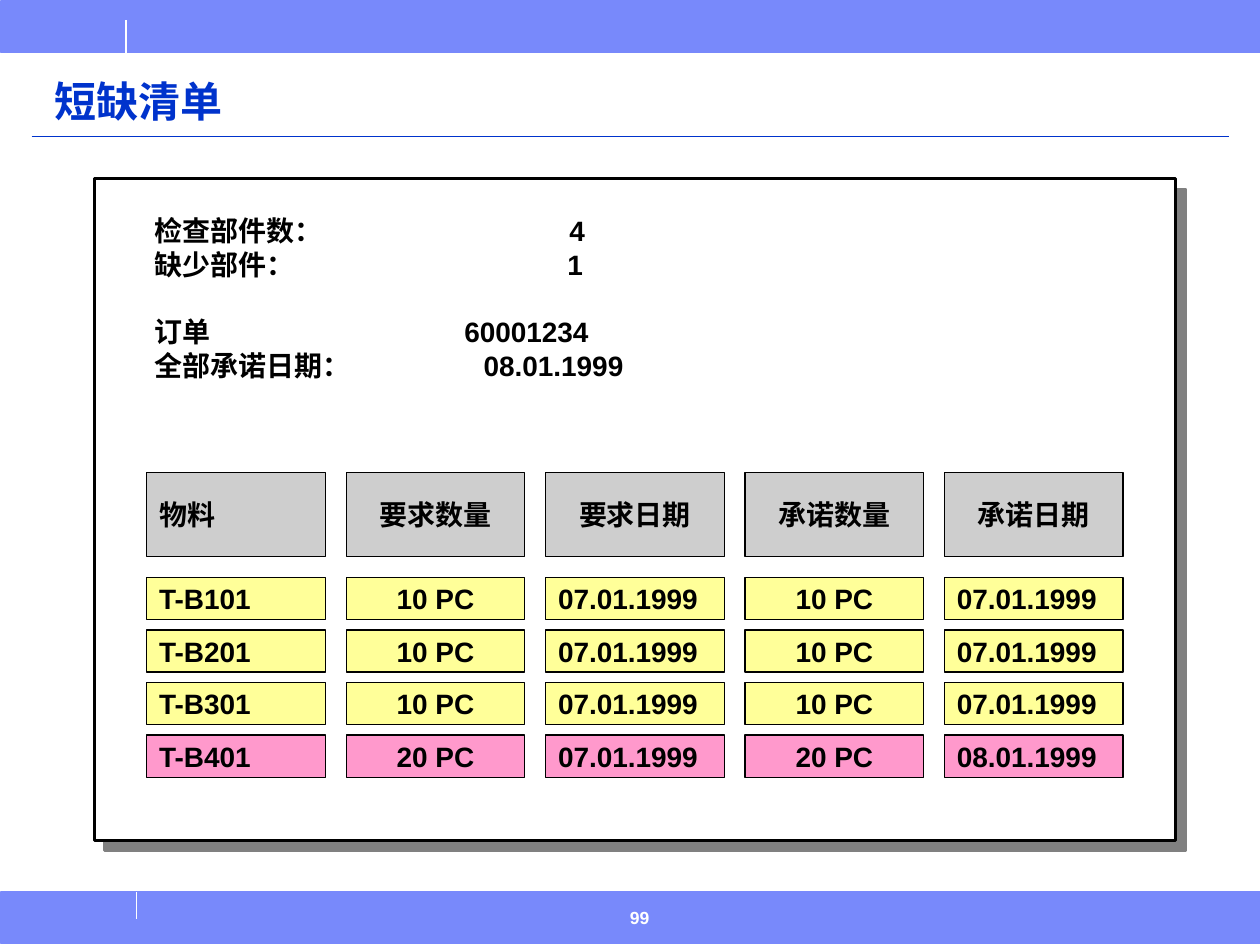
from dataclasses import dataclass

from lxml.etree import SubElement
from pptx import Presentation
from pptx.dml.color import RGBColor
from pptx.enum.shapes import MSO_CONNECTOR, MSO_SHAPE
from pptx.enum.text import MSO_ANCHOR, PP_ALIGN
from pptx.oxml.ns import qn
from pptx.util import Cm, Pt

BAND = RGBColor(0x78, 0x89, 0xFB)
BLUE = RGBColor(0x00, 0x33, 0xCC)
WHITE = RGBColor(0xFF, 0xFF, 0xFF)
BLACK = RGBColor(0x00, 0x00, 0x00)
GREY = RGBColor(0xCE, 0xCE, 0xCE)
SHADOW = RGBColor(0x80, 0x80, 0x80)
YELLOW = RGBColor(0xFF, 0xFF, 0x99)
PINK = RGBColor(0xFF, 0x99, 0xCC)

GRID_LEFT, COL_PITCH, COL_WIDTH = 2.96, 4.02, 3.6
HEADER_TOP, HEADER_HEIGHT = 9.53, 1.69
ROWS_TOP, ROW_PITCH, ROW_HEIGHT = 11.64, 1.06, 0.85


@dataclass
class Box:
    left: float
    top: float
    width: float
    height: float


@dataclass
class Rule:
    x1: float
    y1: float
    x2: float
    y2: float
    color: RGBColor


@dataclass
class SummaryLine:
    label: str
    value: str
    tab: float
    space_before: float = 0


@dataclass
class Material:
    name: str
    quantity: str
    required: str
    committed: str
    fill: RGBColor = YELLOW


BANDS = [Box(0.02, 0.02, 25.38, 1.04), Box(0.02, 17.98, 25.38, 1.04)]
RULES = [
    Rule(2.54, 0.41, 2.54, 1.06, WHITE),
    Rule(2.75, 17.98, 2.75, 18.52, WHITE),
    Rule(0.64, 2.75, 24.77, 2.75, BLUE),
]
SUMMARY = [
    SummaryLine("检查部件数：", "4", 8.36),
    SummaryLine("缺少部件：", "1", 8.32),
    SummaryLine("订单", "60001234", 6.24, 19.1),
    SummaryLine("全部承诺日期：", "08.01.1999", 6.63),
]
HEADERS = ["物料", "要求数量", "要求日期", "承诺数量", "承诺日期"]
MATERIALS = [
    Material("T-B101", "10 PC", "07.01.1999", "07.01.1999"),
    Material("T-B201", "10 PC", "07.01.1999", "07.01.1999"),
    Material("T-B301", "10 PC", "07.01.1999", "07.01.1999"),
    Material("T-B401", "20 PC", "07.01.1999", "08.01.1999", PINK),
]


def place(sp, box: Box) -> None:
    sp.left, sp.top = Cm(box.left), Cm(box.top)
    sp.width, sp.height = Cm(box.width), Cm(box.height)


def style(p, size: float, color: RGBColor, name: str = "Arial") -> None:
    for r in p.runs:
        r.font.size = Pt(size)
        r.font.name = name
        r.font.bold = True
        r.font.color.rgb = color


def add_rect(s, box: Box, fill: RGBColor, line: RGBColor, weight: float):
    sp = s.shapes.add_shape(MSO_SHAPE.RECTANGLE, 0, 0, 0, 0)
    place(sp, box)
    sp.shadow.inherit = False
    sp.fill.solid()
    sp.fill.fore_color.rgb = fill
    sp.line.color.rgb = line
    sp.line.width = Pt(weight)
    return sp


def add_rule(s, rule: Rule) -> None:
    c = s.shapes.add_connector(
        MSO_CONNECTOR.STRAIGHT, Cm(rule.x1), Cm(rule.y1), Cm(rule.x2), Cm(rule.y2)
    )
    c.line.color.rgb = rule.color
    c.line.width = Pt(1)
    SubElement(c._element.spPr, qn("a:effectLst"))


def add_panel(s) -> None:
    sp = add_rect(s, Box(1.9, 3.6, 21.8, 13.34), WHITE, BLACK, 1.5)
    effects = sp._element.spPr.find(qn("a:effectLst"))
    shadow = SubElement(effects, qn("a:outerShdw"), dist=str(Pt(8.5)), dir="2700000", algn="ctr", rotWithShape="0")
    SubElement(shadow, qn("a:srgbClr"), val=str(SHADOW))


def add_cell(s, box: Box, text: str, fill: RGBColor, align: PP_ALIGN) -> None:
    tf = add_rect(s, box, fill, BLACK, 0.75).text_frame
    tf.vertical_anchor = MSO_ANCHOR.MIDDLE
    tf.text = text
    p = tf.paragraphs[0]
    p.alignment = align
    style(p, 16, BLACK)


def add_row(s, top: float, height: float, texts: list[str], fill: RGBColor, centred: set[int]) -> None:
    for i, text in enumerate(texts):
        align = PP_ALIGN.CENTER if i in centred else PP_ALIGN.LEFT
        add_cell(s, Box(GRID_LEFT + i * COL_PITCH, top, COL_WIDTH, height), text, fill, align)


def add_text_box(s, box: Box):
    sp = s.shapes.add_textbox(0, 0, 0, 0)
    place(sp, box)
    sp.text_frame.word_wrap = True
    return sp.text_frame


def add_summary(s) -> None:
    tf = add_text_box(s, Box(2.87, 4.19, 10.24, 3.66))
    for i, line in enumerate(SUMMARY):
        p = tf.add_paragraph() if i else tf.paragraphs[0]
        p.text = f"{line.label}\t{line.value}"
        if line.space_before:
            p.space_before = Pt(line.space_before)
        tabs = SubElement(p._p.get_or_add_pPr(), qn("a:tabLst"))
        SubElement(tabs, qn("a:tab"), pos=str(Cm(line.tab)), algn="l")
        style(p, 16, BLACK)


def add_title(s, text: str) -> None:
    sp = s.shapes.title
    place(sp, Box(0.84, 1.27, 23.32, 1.4))
    tf = sp.text_frame
    tf.text = text
    tf.vertical_anchor = MSO_ANCHOR.BOTTOM
    p = tf.paragraphs[0]
    p.alignment = PP_ALIGN.LEFT
    p.line_spacing = 0.9
    style(p, 24, BLUE, "Times New Roman")


def add_page_number(s, text: str) -> None:
    tf = add_text_box(s, Box(12.45, 18.16, 2.11, 0.89))
    tf.text = text
    style(tf.paragraphs[0], 10, WHITE)


def main() -> None:
    prs = Presentation()
    prs.slide_width, prs.slide_height = Cm(25.4), Cm(19.05)
    s = prs.slides.add_slide(prs.slide_layouts[5])
    for band in BANDS:
        add_rect(s, band, BAND, BAND, 1)
    for rule in RULES:
        add_rule(s, rule)
    add_title(s, "短缺清单")
    add_panel(s)
    add_row(s, HEADER_TOP, HEADER_HEIGHT, HEADERS, GREY, {1, 2, 3, 4})
    for i, m in enumerate(MATERIALS):
        texts = [m.name, m.quantity, m.required, m.quantity, m.committed]
        add_row(s, ROWS_TOP + i * ROW_PITCH, ROW_HEIGHT, texts, m.fill, {1, 3})
    add_summary(s)
    add_page_number(s, "99")
    prs.save("out.pptx")


if __name__ == "__main__":
    main()
